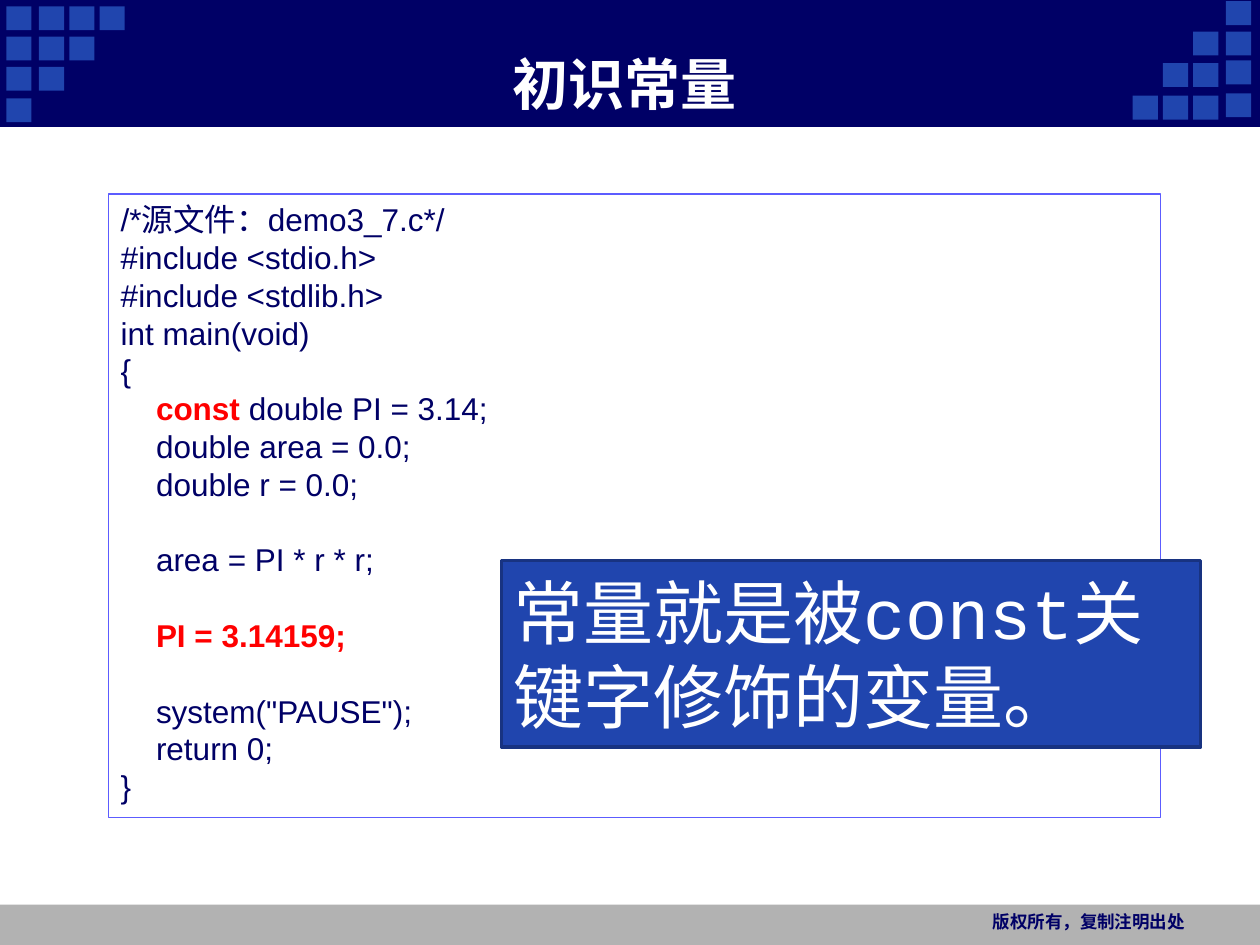
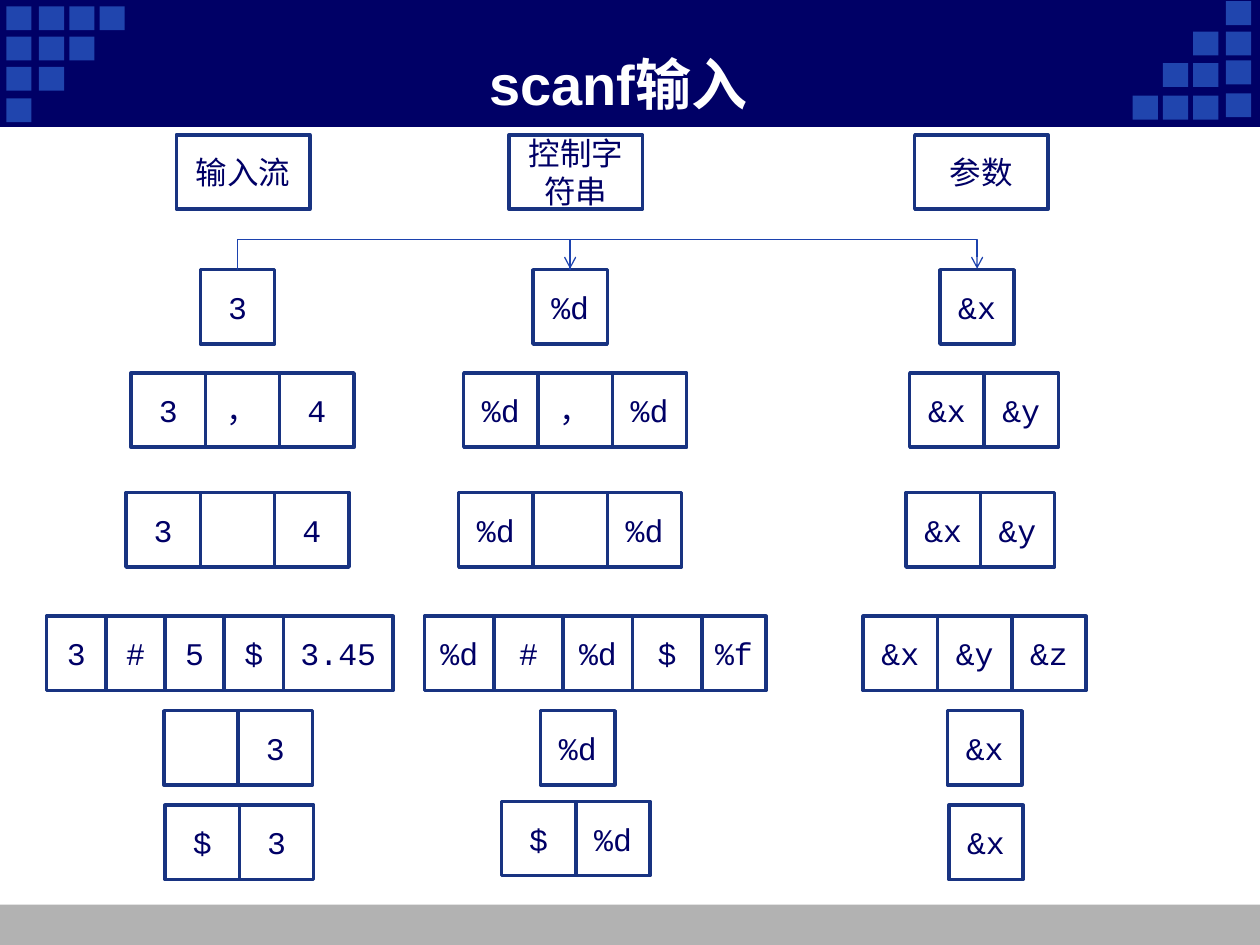
import dataclasses

import pptx
import pptx.dml.color
import pptx.enum.shapes
import pptx.enum.text
import pptx.oxml
import pptx.oxml.ns
import pptx.util

Inches = pptx.util.Inches
Pt = pptx.util.Pt
ALIGN = pptx.enum.text.PP_ALIGN
ANCHOR = pptx.enum.text.MSO_ANCHOR
SHAPE = pptx.enum.shapes.MSO_SHAPE
CONNECTOR = pptx.enum.shapes.MSO_CONNECTOR


@dataclasses.dataclass(frozen=True)
class Theme:
    navy: str = "000066"
    blue: str = "2045AE"
    edge: str = "183381"
    arrow: str = "1C42AE"
    frame: str = "5C5CFF"
    grey: str = "B2B2B2"
    white: str = "FFFFFF"
    red: str = "FF0000"
    sans: str = "Arial"
    mono: str = "Courier New"
    title_size: int = 32
    body_size: int = 18
    callout_size: int = 40
    footer_size: int = 10


THEME = Theme()
TITLE = dict(name=THEME.sans, size=Pt(THEME.title_size), bold=True, color=THEME.white)
CODE = dict(name=THEME.sans, size=Pt(THEME.body_size), bold=False, color=THEME.navy)
KEY_CODE = CODE | dict(bold=True, color=THEME.red)
CELL = dict(name=THEME.mono, size=Pt(THEME.body_size), color=THEME.navy)
CALLOUT = dict(name=THEME.mono, size=Pt(THEME.callout_size), color=THEME.white)
FOOTER = dict(name=THEME.mono, size=Pt(THEME.footer_size), bold=True, color=THEME.navy)

CELL_SIZE = 0.59
CODE_PITCH = Pt(21.6)
CODE_INDENT = Inches(0.28)

# Each code line: indent level, blank line above, spans as (text, is key)
CODE_LINES = [
    (0, False, [("/*源文件：demo3_7.c*/", False)]),
    (0, False, [("#include <stdio.h>", False)]),
    (0, False, [("#include <stdlib.h>", False)]),
    (0, False, [("int main(void)", False)]),
    (0, False, [("{", False)]),
    (1, False, [("const ", True), ("double PI = 3.14;", False)]),
    (1, False, [("double area = 0.0;", False)]),
    (1, False, [("double r = 0.0;", False)]),
    (1, True, [("area = PI * r * r;", False)]),
    (1, True, [("PI = 3.14159;", True)]),
    (1, True, [('system("PAUSE");', False)]),
    (1, False, [("return 0;", False)]),
    (0, False, [("}", False)]),
]

# Column headings and the first example: left, text
HEADINGS = [(1.4, "输入流"), (4.04, "控制字符串"), (7.26, "参数")]
LINKED_CELLS = [(1.59, "3"), (4.23, "%d"), (7.46, "&x")]

# Strips of touching cells: left, top, texts, cell width, last cell width
STRIPS = [
    (1.04, 2.96, ["3", "，", "4"], CELL_SIZE, CELL_SIZE),
    (3.68, 2.96, ["%d", "，", "%d"], CELL_SIZE, CELL_SIZE),
    (7.22, 2.96, ["&x", "&y"], CELL_SIZE, CELL_SIZE),
    (1.0, 3.91, ["3", "", "4"], CELL_SIZE, CELL_SIZE),
    (3.64, 3.91, ["%d", "", "%d"], CELL_SIZE, CELL_SIZE),
    (7.19, 3.91, ["&x", "&y"], CELL_SIZE, CELL_SIZE),
    (0.37, 4.89, ["3", "#", "5", "$", "3.45"], 0.47, 0.87),
    (3.37, 4.89, ["%d", "#", "%d", "$", "%f"], 0.55, 0.51),
    (6.85, 4.89, ["&x", "&y", "&z"], CELL_SIZE, CELL_SIZE),
    (1.3, 5.64, ["", "3"], CELL_SIZE, CELL_SIZE),
    (4.29, 5.64, ["%d"], CELL_SIZE, CELL_SIZE),
    (7.52, 5.64, ["&x"], CELL_SIZE, CELL_SIZE),
    (1.31, 6.39, ["$", "3"], CELL_SIZE, CELL_SIZE),
    (3.98, 6.36, ["$", "%d"], CELL_SIZE, CELL_SIZE),
    (7.53, 6.39, ["&x"], CELL_SIZE, CELL_SIZE),
]


def rgb(value):
    return pptx.dml.color.RGBColor.from_string(value)


def add_span(para, text, style):
    span = para.add_run()
    span.text = text
    for key, value in style.items():
        if key == "color":
            span.font.color.rgb = rgb(value)
        else:
            setattr(span.font, key, value)


def write(shape, text, style, align=ALIGN.LEFT, anchor=ANCHOR.MIDDLE):
    frame = shape.text_frame
    frame.word_wrap = True
    frame.vertical_anchor = anchor
    para = frame.paragraphs[0]
    para.alignment = align
    add_span(para, text, style)


def add_box(page, box, fill=None, line=None, weight=2):
    shape = page.shapes.add_shape(SHAPE.RECTANGLE, *map(Inches, box))
    shape.shadow.inherit = False
    if fill:
        shape.fill.solid()
        shape.fill.fore_color.rgb = rgb(fill)
    else:
        shape.fill.background()
    if line:
        shape.line.color.rgb = rgb(line)
        shape.line.width = Pt(weight)
    else:
        shape.line.fill.background()
    return shape


def add_label(page, box, text, style, align, anchor):
    label = page.shapes.add_textbox(*map(Inches, box))
    write(label, text, style, align, anchor)


def add_corner(page, columns, rows, edge_shift=0):
    """Staircase of small squares, one fewer in each row."""
    for index, top in enumerate(rows):
        for column, left in enumerate(columns[:len(columns) - index]):
            shift = edge_shift if column == 0 and index < 2 else 0
            add_box(page, (left, top - shift, 0.2, 0.19), fill=THEME.blue)


def add_page(deck, title):
    page = deck.slides.add_slide(deck.slide_layouts[6])
    # Bands and corner squares
    add_box(page, (0, 7.18, 10, 0.33), fill=THEME.grey)
    add_box(page, (0, 0, 10, 1), THEME.navy, THEME.navy, 0.75)
    add_corner(page, [0.05, 0.31, 0.55, 0.79], [0.05, 0.29, 0.53, 0.78])
    add_corner(page, [9.73, 9.47, 9.23, 8.99], [0.76, 0.5, 0.25, 0.01], 0.02)
    # Title
    add_label(page, (0.92, 0.35, 8.08, 0.62), title, TITLE, ALIGN.CENTER, ANCHOR.MIDDLE)
    return page


def add_code(page, box):
    frame = add_box(page, box, line=THEME.frame, weight=0.75).text_frame
    frame.word_wrap = True
    frame.vertical_anchor = ANCHOR.TOP
    for index, (level, gap, spans) in enumerate(CODE_LINES):
        para = frame.add_paragraph() if index else frame.paragraphs[0]
        layout = dict(
            alignment=ALIGN.LEFT,
            line_spacing=CODE_PITCH,
            space_before=CODE_PITCH if gap else Pt(0),
        )
        for key, value in layout.items():
            setattr(para, key, value)
        if level:
            para._p.get_or_add_pPr().set("marL", str(level * CODE_INDENT))
        for text, is_key in spans:
            add_span(para, text, KEY_CODE if is_key else CODE)


def add_cell(page, box, text):
    cell = add_box(page, box, line=THEME.edge)
    if text:
        write(cell, text, CELL, ALIGN.CENTER)
    return cell


def add_strip(page, left, top, texts, width, last_width):
    for index, text in enumerate(texts):
        is_last = index == len(texts) - 1
        cell_width = last_width if is_last else width
        add_cell(page, (left + index * width, top, cell_width, CELL_SIZE), text)


def add_bridge(page, start, end):
    """Elbow arrow that rises from the top of one cell and drops on another."""
    bridge = page.shapes.add_connector(CONNECTOR.ELBOW, 0, 0, 0, 0)
    bridge.begin_connect(start, 0)
    bridge.end_connect(end, 0)
    bridge.line.color.rgb = rgb(THEME.arrow)
    bridge.line.width = Pt(0.75)

    # Turned a quarter, so the span between the cells is its height
    span = end.left - start.left
    thickness = Pt(1)
    middle = start.left + start.width // 2 + span // 2
    geometry = dict(left=middle - thickness // 2, top=start.top - span // 2,
                    width=thickness, height=span)
    for key, value in geometry.items():
        setattr(bridge, key, value)
    properties = bridge._element.spPr
    for key, value in dict(rot="5400000", flipH="1", flipV="1").items():
        properties.find(pptx.oxml.ns.qn("a:xfrm")).set(key, value)

    # Rise of 0.25 inch, as a multiple of the thickness
    rise = round(Inches(0.25) / thickness * 100000)
    namespace = pptx.oxml.ns.nsdecls("a")
    guides = properties.find(pptx.oxml.ns.qn("a:prstGeom")).get_or_add_avLst()
    guides.append(pptx.oxml.parse_xml(
        f'<a:gd {namespace} name="adj1" fmla="val {rise}"/>'))
    bridge.line._get_or_add_ln().append(
        pptx.oxml.parse_xml(f'<a:tailEnd {namespace} type="arrow"/>'))
    properties.append(pptx.oxml.parse_xml(f"<a:effectLst {namespace}/>"))


def build_constant_page(deck):
    page = add_page(deck, "初识常量")
    add_label(page, (7.6, 7.18, 1.9, 0.32), "版权所有，复制注明出处",
              FOOTER, ALIGN.RIGHT, ANCHOR.TOP)
    add_code(page, (0.86, 1.54, 8.35, 4.95))
    callout = add_box(page, (3.98, 4.45, 5.55, 1.48), THEME.blue, THEME.edge)
    write(callout, "常量就是被const关键字修饰的变量。", CALLOUT)


def build_scanf_page(deck):
    page = add_page(deck, "scanf输入 ")
    # Column headings
    for left, text in HEADINGS:
        add_cell(page, (left, 1.07, 1.06, CELL_SIZE), text)
    # First example with arrows
    linked = [add_cell(page, (left, 2.14, CELL_SIZE, CELL_SIZE), text)
              for left, text in LINKED_CELLS]
    for start, end in zip(linked, linked[1:]):
        add_bridge(page, start, end)
    # Remaining examples
    for strip in STRIPS:
        add_strip(page, *strip)


def main():
    deck = pptx.Presentation()
    deck.slide_width = Inches(10)
    deck.slide_height = Inches(7.5)
    build_constant_page(deck)
    build_scanf_page(deck)
    deck.save("out.pptx")


if __name__ == "__main__":
    main()
